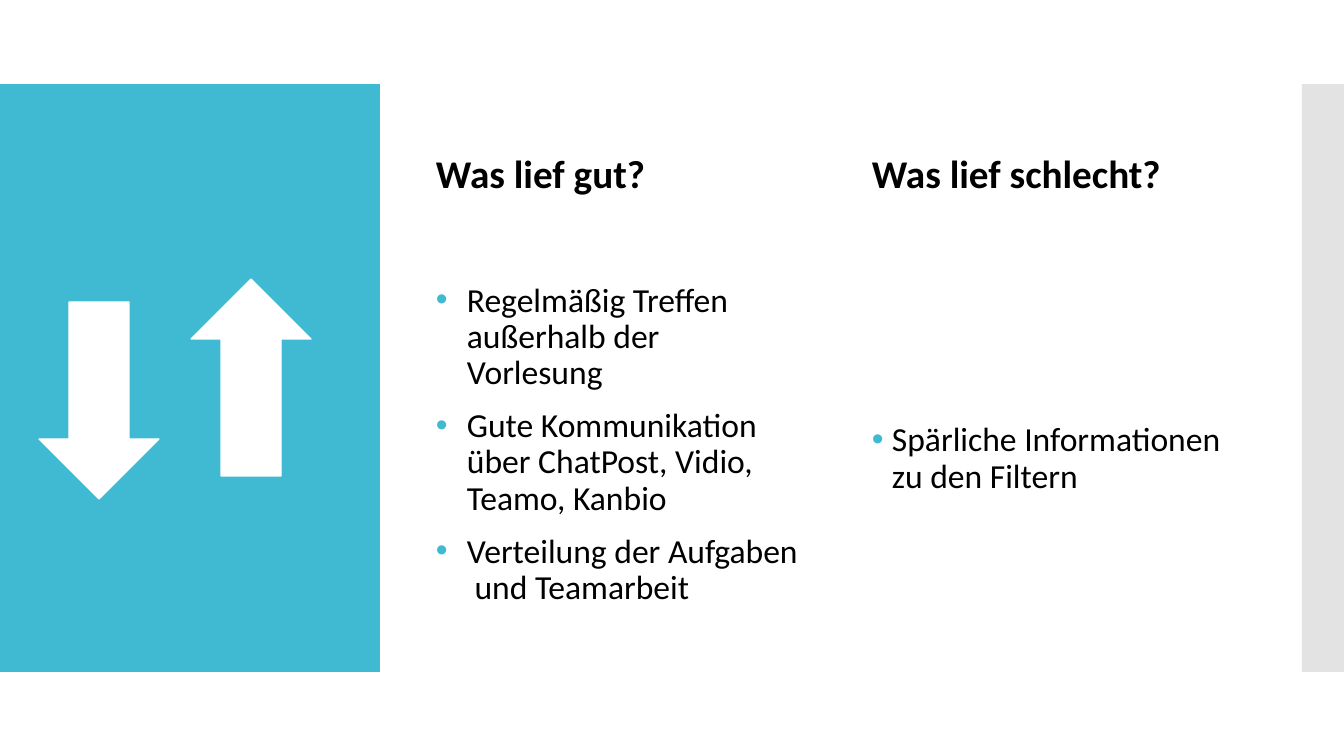
import pptx
import pptx.util
import pptx.dml.color
import pptx.enum.shapes
import pptx.enum.text
import lxml.etree
from dataclasses import dataclass

COLUMNS = [
    {
        "heading": "Was lief gut?",
        "points": [
            "Regelmäßig Treffen außerhalb der Vorlesung",
            "Gute Kommunikation über ChatPost, Vidio, Teamo, Kanbio",
            "Verteilung der Aufgaben  und Teamarbeit",
        ],
        "left": 426, "top": 223, "indent": 31,
    },
    {
        "heading": "Was lief schlecht?",
        "points": ["Spärliche Informationen zu den Filtern"],
        "left": 862, "top": 237, "indent": 20,
    },
]
ARROWS = [(39, 302, 0), (191, 279, 180)]
ARROW_SIZE = (120, 197)
BANDS = [(0, 380, "accent", 100), (1302, 42, "edge", 50)]
BAND_TOP, BAND_HEIGHT = 84, 588
COLUMN_WIDTH, HEADING_TOP, HEADING_HEIGHT, POINTS_HEIGHT = 383, 113, 89, 444


@dataclass(frozen=True)
class Theme:
    font: str = "Calibri"
    accent: str = "40BAD2"
    edge: str = "C8C8C8"
    text: str = "000000"
    arrow: str = "FFFFFF"
    heading_size: int = 28
    point_size: int = 24
    point_gap: int = 12
    line_spacing: float = 0.9
    arrow_line: float = 0.85


THEME = Theme()
EMU_PER_PX = 914400 / 100.8
MSO_SHAPE = pptx.enum.shapes.MSO_SHAPE
ANCHOR = pptx.enum.text.MSO_ANCHOR


def px(length):
    return pptx.util.Emu(round(length * EMU_PER_PX))


def rgb(color):
    return pptx.dml.color.RGBColor.from_string(color)


def add_filled(slide, preset, box, color):
    figure = slide.shapes.add_shape(preset, *map(px, box))
    figure.shadow.inherit = False
    figure.fill.solid()
    figure.fill.fore_color.rgb = rgb(color)
    figure.line.fill.background()
    return figure


def set_opacity(figure, percent):
    color = figure.fill._xPr.find(".//" + pptx.oxml.ns.qn("a:srgbClr"))
    alpha = lxml.etree.SubElement(color, pptx.oxml.ns.qn("a:alpha"))
    alpha.set("val", str(percent * 1000))


def add_bullet(paragraph, indent):
    properties = paragraph._p.get_or_add_pPr()
    properties.set("marL", str(px(indent)))
    properties.set("indent", str(-px(indent)))
    color = lxml.etree.SubElement(properties, pptx.oxml.ns.qn("a:buClr"))
    lxml.etree.SubElement(color, pptx.oxml.ns.qn("a:srgbClr")).set("val", THEME.accent)
    lxml.etree.SubElement(properties, pptx.oxml.ns.qn("a:buFont")).set("typeface", "Arial")
    lxml.etree.SubElement(properties, pptx.oxml.ns.qn("a:buChar")).set("char", "•")


def add_text(slide, box, lines, size, anchor, bold=False, indent=0):
    frame = slide.shapes.add_textbox(*map(px, box)).text_frame
    frame.word_wrap = True
    frame.vertical_anchor = anchor
    frame.text = "\n".join(lines)
    for paragraph in frame.paragraphs:
        paragraph.line_spacing = THEME.line_spacing
        paragraph.font.name = THEME.font
        paragraph.font.size = pptx.util.Pt(size)
        paragraph.font.bold = bold
        paragraph.font.color.rgb = rgb(THEME.text)
        if indent:
            paragraph.space_before = pptx.util.Pt(THEME.point_gap)
            add_bullet(paragraph, indent)


def add_column(slide, column):
    left = column["left"]
    add_text(slide, (left, HEADING_TOP, COLUMN_WIDTH, HEADING_HEIGHT),
             [column["heading"]], THEME.heading_size, ANCHOR.BOTTOM, bold=True)
    add_text(slide, (left, column["top"], COLUMN_WIDTH, POINTS_HEIGHT),
             column["points"], THEME.point_size, ANCHOR.MIDDLE, indent=column["indent"])


def main():
    deck = pptx.Presentation()
    deck.slide_width, deck.slide_height = px(1344), px(756)
    slide = deck.slides.add_slide(deck.slide_layouts[6])
    for left, width, role, opacity in BANDS:
        band = add_filled(slide, MSO_SHAPE.RECTANGLE,
                          (left, BAND_TOP, width, BAND_HEIGHT), getattr(THEME, role))
        if opacity < 100:
            set_opacity(band, opacity)
    for column in COLUMNS:
        add_column(slide, column)
    for left, top, rotation in ARROWS:
        arrow = add_filled(slide, MSO_SHAPE.DOWN_ARROW, (left, top, *ARROW_SIZE), THEME.arrow)
        arrow.line.color.rgb = rgb(THEME.arrow)
        arrow.line.width = pptx.util.Pt(THEME.arrow_line)
        arrow.rotation = rotation
    deck.save("out.pptx")


if __name__ == "__main__":
    main()
